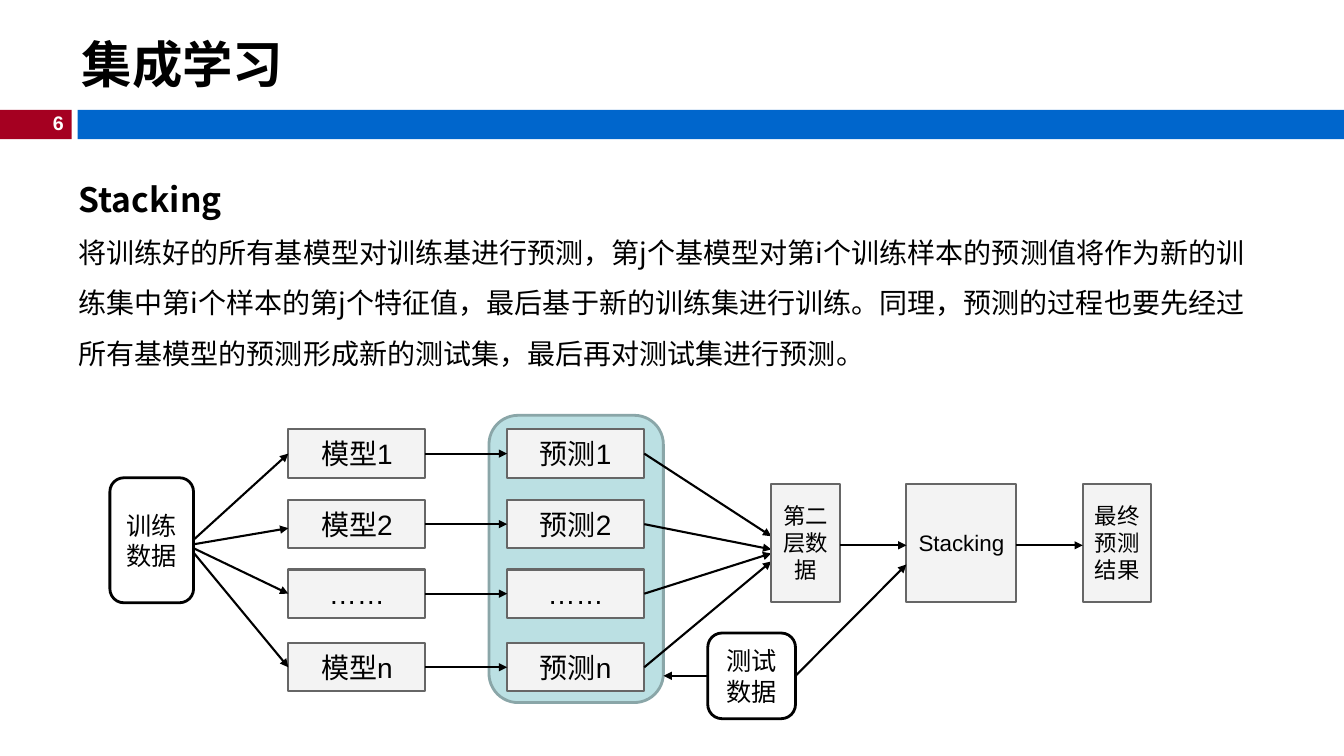
from lxml import etree
from pptx import Presentation
from pptx.dml.color import RGBColor
from pptx.enum.shapes import MSO_CONNECTOR, MSO_SHAPE
from pptx.enum.text import MSO_ANCHOR, MSO_AUTO_SIZE, PP_ALIGN
from pptx.oxml.ns import qn
from pptx.util import Inches, Pt

RECT, ROUND = MSO_SHAPE.RECTANGLE, MSO_SHAPE.ROUNDED_RECTANGLE
STRAIGHT = MSO_CONNECTOR.STRAIGHT
LEFT, CENTER, RIGHT = PP_ALIGN.LEFT, PP_ALIGN.CENTER, PP_ALIGN.RIGHT
MIDDLE, TOP = MSO_ANCHOR.MIDDLE, MSO_ANCHOR.TOP
W, H = 13.33, 7.5
ARIAL, NOTO = "Arial", "Noto Sans CJK SC"

STEP = dict(fill="F3F3F3", line="666666", weight=1.5)
DATA = dict(fill="FFFFFF", line="000000", weight=2, kind=ROUND)
PANEL = dict(fill="BBE0E3", line="8AA6A8", weight=2, kind=ROUND)
STEP_TEXT = dict(size=20, inset=0.1)
STAGE_TEXT = dict(size=16, inset=0.1)
DATA_TEXT = dict(size=18, name=NOTO)

EXPLANATION = (
    "将训练好的所有基模型对训练基进行预测，第j个基模型对第i个训练样本的预测值将作为新的"
    "训练集中第i个样本的第j个特征值，最后基于新的训练集进行训练。同理，预测的过程也要先"
    "经过所有基模型的预测形成新的测试集，最后再对测试集进行预测。"
)


def color(value):
    return RGBColor.from_string(value)


def place(sp, box):
    for key, value in zip(("left", "top", "width", "height"), box):
        setattr(sp, key, Inches(value))


def write(p, text, size, name=ARIAL, bold=False, ink="000000", align=CENTER):
    p.alignment = align
    r = p.add_run()
    r.text = text
    for key, value in dict(size=Pt(size), name=name, bold=bold).items():
        setattr(r.font, key, value)
    r.font.color.rgb = color(ink)
    ea = etree.SubElement(r.font._element, qn("a:ea"))
    ea.set("typeface", name)


def frame(sp, anchor=MIDDLE, wrap=True, inset=0.05):
    tf = sp.text_frame
    formats = dict(word_wrap=wrap, vertical_anchor=anchor, auto_size=MSO_AUTO_SIZE.NONE,
                   margin_left=Inches(0.1), margin_right=Inches(0.1),
                   margin_top=Inches(inset), margin_bottom=Inches(inset))
    for key, value in formats.items():
        setattr(tf, key, value)
    return tf


def block(s, box, fill, line=None, weight=0, kind=RECT):
    sp = s.shapes.add_shape(kind, *map(Inches, box))
    sp.shadow.inherit = False
    sp.fill.solid()
    sp.fill.fore_color.rgb = color(fill)
    if line:
        sp.line.color.rgb = color(line)
        sp.line.width = Pt(weight)
    else:
        sp.line.fill.background()
    return sp


def label(sp, text, size, inset=0.05, **formats):
    write(frame(sp, inset=inset).paragraphs[0], text, size, **formats)


def arrow(s, start, end):
    c = s.shapes.add_connector(STRAIGHT, *map(Inches, start + end))
    c.line.color.rgb = color("000000")
    c.line.width = Pt(1.5)
    etree.SubElement(c.line._get_or_add_ln(), qn("a:tailEnd")).set("type", "triangle")
    etree.SubElement(c._element.spPr, qn("a:effectLst"))


def header(s, box, title, number):
    x, y, w, h = box
    bar_y, bar_h = y + h - 0.29, 0.29
    block(s, (x, bar_y, 0.71, bar_h), "A50021")
    block(s, (x + 0.77, bar_y, w - 0.77, bar_h), "0066CC")
    page = s.shapes.add_textbox(*map(Inches, (x + 0.29, bar_y - 0.04, 0.44, 0.34)))
    write(frame(page, TOP, wrap=False).paragraphs[0], number, 14,
          bold=True, ink="FFFFFF", align=RIGHT)
    place(s.shapes.title, (x + 0.71, y + 0.27, 7.36, 0.72))
    write(frame(s.shapes.title).paragraphs[0], title, 36, bold=True, align=LEFT)


def passage(s, box, heading, text):
    body = s.placeholders[1]
    place(body, box)
    tf = frame(body, TOP)
    for p, words, size, bold in ((tf.paragraphs[0], heading, 24, True),
                                 (tf.add_paragraph(), text, 20, False)):
        pPr = p._p.get_or_add_pPr()
        pPr.set("marL", "0")
        pPr.set("indent", "0")
        etree.SubElement(pPr, qn("a:buNone"))
        p.line_spacing = 1.5
        p.space_before = Pt(0)
        write(p, words, size, NOTO, bold, align=LEFT)


def stacking_flow(s, box):
    x, y, w, h = box
    axis = y + 1.29
    row_h, row_w = 0.48, 1.36
    model_x, forecast_x = x + 1.77, x + 3.94
    rows = [y + dy for dy in (0.14, 0.84, 1.53, 2.26)]
    stage_y, stage_h = y + 0.68, 1.17
    stages = [("第二层数据", x + 6.56, 0.68), ("Stacking", x + 7.9, 1.09),
              ("最终预测结果", x + w - 0.68, 0.68)]
    layer_x, stacking_x = stages[0][1], stages[1][1]
    entries = [axis + dy for dy in (-0.09, 0.04, 0.08, 0.16)]
    panel = (x + 3.76, y, 1.73, 2.85)
    test = (x + 5.93, y + h - 0.85, 0.87, 0.85)

    block(s, panel, **PANEL)
    for top, mark, entry in zip(rows, ("1", "2", None, "n"), entries):
        mid = top + row_h / 2
        for left, noun in ((model_x, "模型"), (forecast_x, "预测")):
            sp = block(s, (left, top, row_w, row_h), **STEP)
            label(sp, noun + mark if mark else "……", **STEP_TEXT)
        arrow(s, (x + 0.77, axis), (model_x, mid + (0.04 if mark == "2" else 0)))
        arrow(s, (model_x + row_w, mid), (forecast_x, mid))
        arrow(s, (forecast_x + row_w, mid), (layer_x, entry))

    for text, left, width in stages:
        label(block(s, (left, stage_y, width, stage_h), **STEP), text, **STAGE_TEXT)
    for (_, left, width), (_, following, _) in zip(stages, stages[1:]):
        arrow(s, (left + width, axis), (following, axis))

    for text, area in (("训练数据", (x, y + 0.62, 0.83, 1.24)), ("测试数据", test)):
        label(block(s, area, **DATA), text, **DATA_TEXT)
    test_mid = test[1] + test[3] / 2
    arrow(s, (test[0], test_mid), (panel[0] + panel[2], test_mid))
    arrow(s, (test[0] + test[2], test_mid), (stacking_x, axis + 0.19))


def main():
    prs = Presentation()
    prs.slide_width, prs.slide_height = Inches(W), Inches(H)
    s = prs.slides.add_slide(prs.slide_layouts[1])
    header(s, (0, 0, W, 1.38), "集成学习", "6")
    passage(s, (0.68, 1.52, 11.98, 2.16), "Stacking", EXPLANATION)
    stacking_flow(s, (1.09, 4.12, 10.33, 3.01))
    prs.save("out.pptx")


if __name__ == "__main__":
    main()
